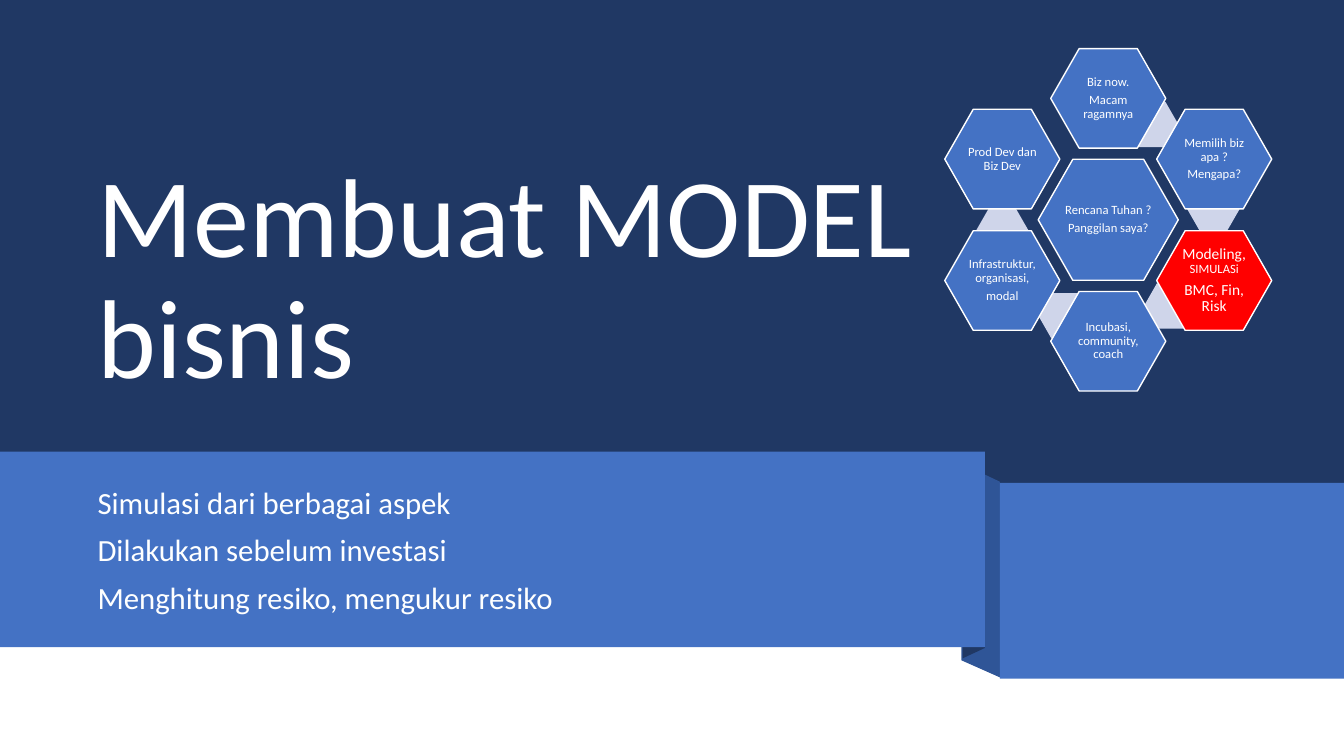
from dataclasses import dataclass

import pptx
import pptx.dml.color
import pptx.enum.shapes
import pptx.enum.text
import pptx.util

Cm = pptx.util.Cm
Pt = pptx.util.Pt
RGB = pptx.dml.color.RGBColor
Kind = pptx.enum.shapes.MSO_SHAPE
Align = pptx.enum.text.PP_ALIGN
Anchor = pptx.enum.text.MSO_ANCHOR

NAVY = RGB(0x20, 0x38, 0x64)
BLUE = RGB(0x44, 0x72, 0xC4)
DEEP = RGB(0x2F, 0x55, 0x97)
PALE = RGB(0xCF, 0xD5, 0xEA)
RED = RGB(0xFF, 0x00, 0x00)
WHITE = RGB(0xFF, 0xFF, 0xFF)
CREAM = RGB(0xFE, 0xFF, 0xFF)
FONT = "Calibri"

WIDE, HIGH = 33.87, 19.05
MID_X, MID_Y = 27.93, 5.54
STEP_X, STEP_Y = 2.67, 1.53

Run = tuple[str, int]


@dataclass
class Hex:
    col: int
    row: int
    lines: list[list[Run]]
    fill: RGB = BLUE
    width: float = 2.9
    height: float = 2.51


@dataclass
class Fold:
    points: list[tuple[float, float]]
    fill: RGB


CELLS = [
    Hex(0, 0, [[("Rencana Tuhan ?", 9)], [("Panggilan saya?", 9)]], BLUE, 3.53, 3.05),
    Hex(0, -2, [[("Biz now.", 9)], [("Macam ragamnya", 9)]]),
    Hex(1, -1, [[("Memilih biz apa ?", 9)], [("Mengapa?", 9)]]),
    Hex(1, 1, [[("Modeling, ", 11), ("SIMULASi", 9)], [("BMC, Fin, Risk", 11)]], RED),
    Hex(0, 2, [[("Incubasi, community, coach", 9)]]),
    Hex(-1, 1, [[("Infrastruktur, organisasi,", 9)], [("modal", 9)]]),
    Hex(-1, -1, [[("Prod Dev dan Biz Dev", 9)]]),
]
LINKS = [(1.11, -2.4), (2.65, -0.27), (1.56, 2.17), (-1.1, 2.42), (-2.67, 0.27)]
FOLDS = [
    Fold([(25.2, 17.07), (24.23, 16.64), (24.23, 11.68), (25.2, 12.14)], DEEP),
    Fold([(24.82, 16.33), (24.26, 16.59), (24.26, 11.63), (24.82, 11.38)], NAVY),
]
NOTES = [
    "Simulasi dari berbagai aspek",
    "Dilakukan sebelum investasi",
    "Menghitung resiko, mengukur resiko",
]


def paint(shape, fill: RGB):
    shape.shadow.inherit = False
    shape.fill.solid()
    shape.fill.fore_color.rgb = fill
    shape.line.fill.background()
    return shape


def block(slide, kind, x: float, y: float, w: float, h: float, fill: RGB):
    shape = slide.shapes.add_shape(kind, Cm(x), Cm(y), Cm(w), Cm(h))
    return paint(shape, fill)


def bend(slide, fold: Fold) -> None:
    first, *rest = [(Cm(x), Cm(y)) for x, y in fold.points]
    path = slide.shapes.build_freeform(*first)
    path.add_line_segments(rest, close=True)
    paint(path.convert_to_shape(), fold.fill)


def style(para, size: int, color: RGB, align) -> None:
    para.alignment = align
    para.line_spacing = 0.9
    para.font.name = FONT
    para.font.size = Pt(size)
    para.font.color.rgb = color


def hexagon(slide, x: float, y: float, w: float, h: float, fill: RGB):
    left, top = MID_X + x - w / 2, MID_Y + y - h / 2
    shape = block(slide, Kind.HEXAGON, left, top, w, h, fill)
    shape.adjustments[0] = 0.286
    return shape


def cell(slide, item: Hex) -> None:
    x, y = item.col * STEP_X, item.row * STEP_Y
    shape = hexagon(slide, x, y, item.width, item.height, item.fill)
    shape.line.color.rgb = WHITE
    shape.line.width = Pt(1)
    frame = shape.text_frame
    frame.word_wrap = True
    frame.vertical_anchor = Anchor.MIDDLE
    frame.margin_left = frame.margin_right = Cm(0.03)
    frame.margin_top = frame.margin_bottom = Cm(0.03)
    for i, line in enumerate(item.lines):
        para = frame.add_paragraph() if i else frame.paragraphs[0]
        size = line[0][1]
        for text, pts in line:
            run = para.add_run()
            run.text = text
            if pts != size:
                run.font.size = Pt(pts)
        style(para, size, WHITE, Align.CENTER)
        para.space_after = Pt(round(size * 0.35))


def head(slide) -> None:
    title = slide.shapes.title
    title.left, title.top = Cm(2.21), Cm(1.42)
    title.width, title.height = Cm(22.99), Cm(8.86)
    frame = title.text_frame
    frame.text = "Membuat MODEL bisnis"
    frame.word_wrap = True
    frame.auto_size = pptx.enum.text.MSO_AUTO_SIZE.NONE
    frame.vertical_anchor = Anchor.BOTTOM
    style(frame.paragraphs[0], 80, WHITE, Align.LEFT)


def notes(slide) -> None:
    box = slide.shapes.add_textbox(Cm(2.21), Cm(12.17), Cm(22.15), Cm(3.56))
    frame = box.text_frame
    frame.word_wrap = True
    for i, text in enumerate(NOTES):
        para = frame.add_paragraph() if i else frame.paragraphs[0]
        para.text = text
        style(para, 22, CREAM, Align.LEFT)
        if i:
            para.space_before = Pt(10)


def main() -> None:
    deck = pptx.Presentation()
    deck.slide_width, deck.slide_height = Cm(WIDE), Cm(HIGH)
    slide = deck.slides.add_slide(deck.slide_layouts[5])
    back = block(slide, Kind.RECTANGLE, 0, 0, WIDE, 12.65, NAVY)
    slide.shapes.title._element.addprevious(back._element)
    head(slide)
    for fold in FOLDS:
        bend(slide, fold)
    block(slide, Kind.RECTANGLE, 0, 11.38, 24.82, 4.93, BLUE)
    notes(slide)
    block(slide, Kind.RECTANGLE, 25.2, 12.17, 8.67, 4.93, BLUE)
    for x, y in LINKS:
        hexagon(slide, x, y, 1.32, 1.14, PALE)
    for item in CELLS:
        cell(slide, item)
    deck.save("out.pptx")


if __name__ == "__main__":
    main()
